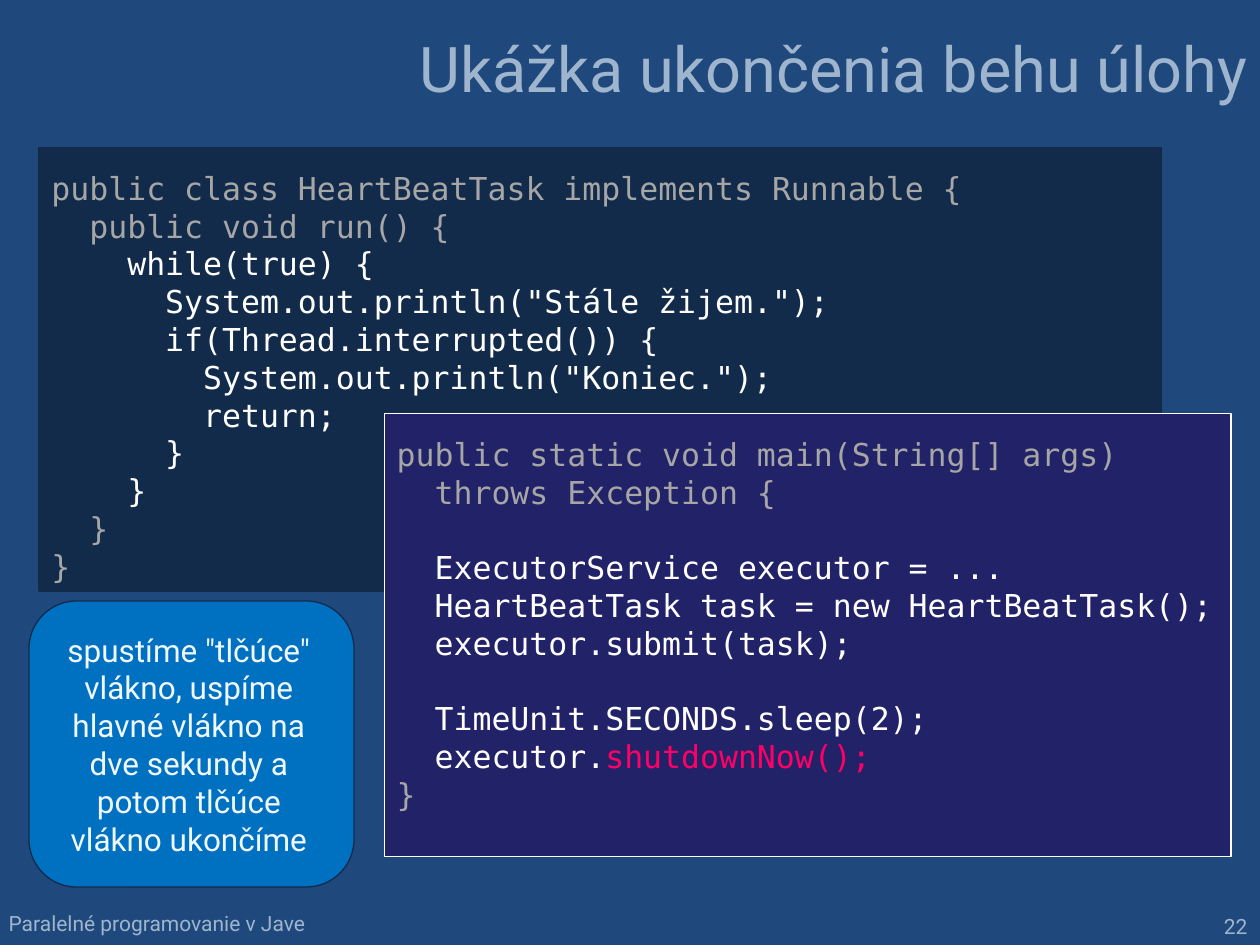
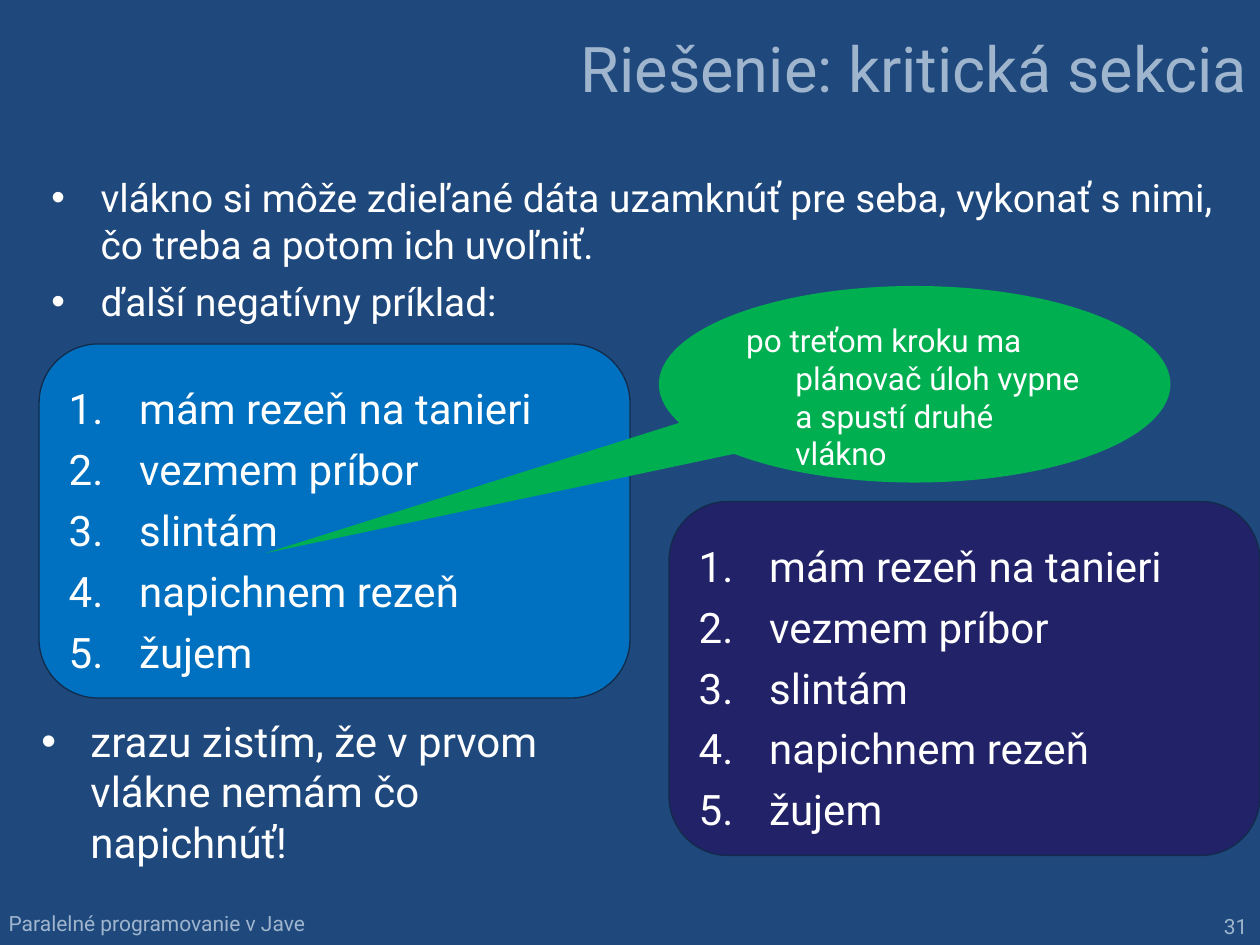
from lxml import etree
from pptx import Presentation
from pptx import util as u
from pptx.dml.color import RGBColor
from pptx.enum import shapes, text
from pptx.oxml.ns import qn

COLOURS = {
    "background": "1F497D", "muted": "9FB5CD", "white": "FFFFFF",
    "navy": "122B4A", "indigo": "222268", "blue": "0070C0",
    "green": "00B050", "grey": "A6A6A6", "pink": "FF0066", "pale": "EFF7FF",
}
SANS, MONO = "Roboto", "DejaVu Sans Mono"
FOOTER = "Paralelné programovanie v Jave"
CODE_LINE = 21.6
PANEL_INSETS = (0.1, 0.17, 0.14, 0.17)
TEXT_INSETS = (0.1, 0.05, 0.1, 0.05)

TASK_CODE = [
    ("grey", "public class HeartBeatTask implements Runnable {"),
    ("grey", "  public void run() {"),
    ("white", "    while(true) {"),
    ("white", '      System.out.println("Stále žijem.");'),
    ("white", "      if(Thread.interrupted()) {"),
    ("white", '        System.out.println("Koniec.");'),
    ("white", "        return;"),
    ("white", "      }"),
    ("white", "    }"),
    ("grey", "  }"),
    ("grey", "}"),
]
MAIN_CODE = [
    ("grey", "public static void main(String[] args)"),
    ("grey", "  throws Exception {"),
    ("white", "  ExecutorService executor = ..."),
    ("white", "  HeartBeatTask task = new HeartBeatTask();"),
    ("white", "  executor.submit(task);"),
    ("white", "  TimeUnit.SECONDS.sleep(2);"),
    ("white", "  executor.", "pink", "shutdownNow();"),
    ("grey", "}"),
]
MAIN_GAPS = (2, 5)
TASK_NOTE = ('spustíme "tlčúce" vlákno, uspíme hlavné vlákno na dve sekundy '
             "a potom tlčúce vlákno ukončíme")

LOCK_POINTS = [
    "vlákno si môže zdieľané dáta uzamknúť pre seba, vykonať s nimi, "
    "čo treba a potom ich uvoľniť.",
    "ďalší negatívny príklad:",
]
DINNER_STEPS = ["mám rezeň na tanieri", "vezmem príbor", "slintám",
                "napichnem rezeň", "žujem"]
DINNER_PANELS = [("blue", 0.31, 2.73), ("indigo", 5.31, 3.98)]
SWITCH_NOTE = "po treťom kroku ma plánovač úloh vypne a spustí druhé vlákno"
CONCLUSION = "zrazu zistím, že v prvom vlákne nemám čo napichnúť!"


def colour(name):
    return RGBColor.from_string(COLOURS[name])


def set_frame(shape, insets, anchor=text.MSO_ANCHOR.TOP, wrap=True):
    frame = shape.text_frame
    frame.word_wrap = wrap
    frame.vertical_anchor = anchor
    (frame.margin_left, frame.margin_top,
     frame.margin_right, frame.margin_bottom) = map(u.Inches, insets)


def add_text_box(slide, place, anchor=text.MSO_ANCHOR.TOP):
    box = slide.shapes.add_textbox(*map(u.Inches, place))
    set_frame(box, TEXT_INSETS, anchor)
    return box


def add_panel(slide, kind, place, fill, line=None, insets=PANEL_INSETS,
              anchor=text.MSO_ANCHOR.TOP, wrap=True):
    panel = slide.shapes.add_shape(kind, *map(u.Inches, place))
    panel.shadow.inherit = False
    panel.fill.solid()
    panel.fill.fore_color.rgb = colour(fill)
    if line:
        panel.line.color.rgb = colour(line)
        panel.line.width = u.Pt(0.75)
    else:
        panel.line.fill.background()
    set_frame(panel, insets, anchor, wrap)
    return panel


def add_span(para, words, size, shade, font=SANS):
    span = para.add_run()
    span.text = words
    span.font.size = u.Pt(size)
    span.font.name = font
    span.font.color.rgb = colour(shade)


def next_para(frame, index, gap=0, align=text.PP_ALIGN.LEFT):
    para = frame.add_paragraph() if index else frame.paragraphs[0]
    para.alignment = align
    para.space_before = u.Pt(gap if index else 0)
    return para


def hang(para, indent, marker=None):
    properties = para._p.get_or_add_pPr()
    properties.set("marL", str(u.Inches(indent)))
    properties.set("indent", str(-u.Inches(indent)))
    if marker:
        shade = etree.SubElement(properties, qn("a:buClr"))
        etree.SubElement(shade, qn("a:srgbClr"), val=COLOURS["white"])
        if marker == "number":
            etree.SubElement(properties, qn("a:buFont"), typeface=SANS)
            etree.SubElement(properties, qn("a:buAutoNum"), type="arabicPeriod")
        else:
            etree.SubElement(properties, qn("a:buFont"), typeface="Arial")
            etree.SubElement(properties, qn("a:buChar"), char=marker)


def write(shape, words, size, shade, align=text.PP_ALIGN.LEFT):
    add_span(next_para(shape.text_frame, 0, align=align), words, size, shade)


def write_list(shape, items, size, indent, marker=None):
    for index, item in enumerate(items):
        para = next_para(shape.text_frame, index, 6)
        hang(para, indent, marker)
        add_span(para, item, size, "white")


def write_code(panel, lines, gaps=()):
    for index, line in enumerate(lines):
        para = next_para(panel.text_frame, index, CODE_LINE if index in gaps else 0)
        for shade, words in zip(line[::2], line[1::2]):
            add_span(para, words, 18, shade, MONO)


def add_page(deck, title, number):
    slide = deck.slides.add_slide(deck.slide_layouts[6])
    slide.background.fill.solid()
    slide.background.fill.fore_color.rgb = colour("background")
    right = text.PP_ALIGN.RIGHT
    write(add_text_box(slide, (-0.03, 7.18, 2.92, 0.3)), FOOTER, 12, "muted")
    write(add_text_box(slide, (6.97, 7.2, 3.03, 0.33)), str(number), 12, "muted", right)
    heading = add_text_box(slide, (1.14, 0, 8.86, 1.07), text.MSO_ANCHOR.MIDDLE)
    write(heading, title, 36, "muted", right)
    return slide


def build_task_page(deck):
    slide = add_page(deck, "Ukážka ukončenia behu úlohy", 22)
    kinds = shapes.MSO_SHAPE
    task = add_panel(slide, kinds.RECTANGLE, (0.31, 1.17, 8.91, 3.52),
                     "navy", "navy", wrap=False)
    write_code(task, TASK_CODE)
    main_panel = add_panel(slide, kinds.RECTANGLE, (3.05, 3.28, 6.72, 3.52),
                           "indigo", "white", wrap=False)
    write_code(main_panel, MAIN_CODE, MAIN_GAPS)
    note = add_panel(slide, kinds.ROUNDED_RECTANGLE, (0.23, 4.77, 2.58, 2.27),
                     "blue", "navy", anchor=text.MSO_ANCHOR.MIDDLE)
    write(note, TASK_NOTE, 18, "pale", text.PP_ALIGN.CENTER)


def build_section_page(deck):
    slide = add_page(deck, "Riešenie: kritická sekcia", 31)
    kinds = shapes.MSO_SHAPE
    points = add_text_box(slide, (0.31, 1.33, 9.45, 1.33))
    write_list(points, LOCK_POINTS, 22.2, 0.39, "•")
    for fill, left, top in DINNER_PANELS:
        panel = add_panel(slide, kinds.ROUNDED_RECTANGLE,
                          (left, top, 4.69, 2.81), fill, "navy")
        write_list(panel, DINNER_STEPS, 24, 0.56, "number")
    callout = add_panel(slide, kinds.OVAL_CALLOUT, (5.23, 2.27, 4.06, 1.56),
                        "green", insets=TEXT_INSETS)
    callout.adjustments[0] = -1.27
    callout.adjustments[1] = 0.86
    write_list(callout, [SWITCH_NOTE], 18, 0.39)
    conclusion = add_text_box(slide, (0.23, 5.63, 4.84, 1.33))
    write_list(conclusion, [CONCLUSION], 24, 0.39, "•")


def main():
    deck = Presentation()
    deck.slide_width, deck.slide_height = u.Inches(10), u.Inches(7.5)
    build_task_page(deck)
    build_section_page(deck)
    deck.save("out.pptx")


if __name__ == "__main__":
    main()
